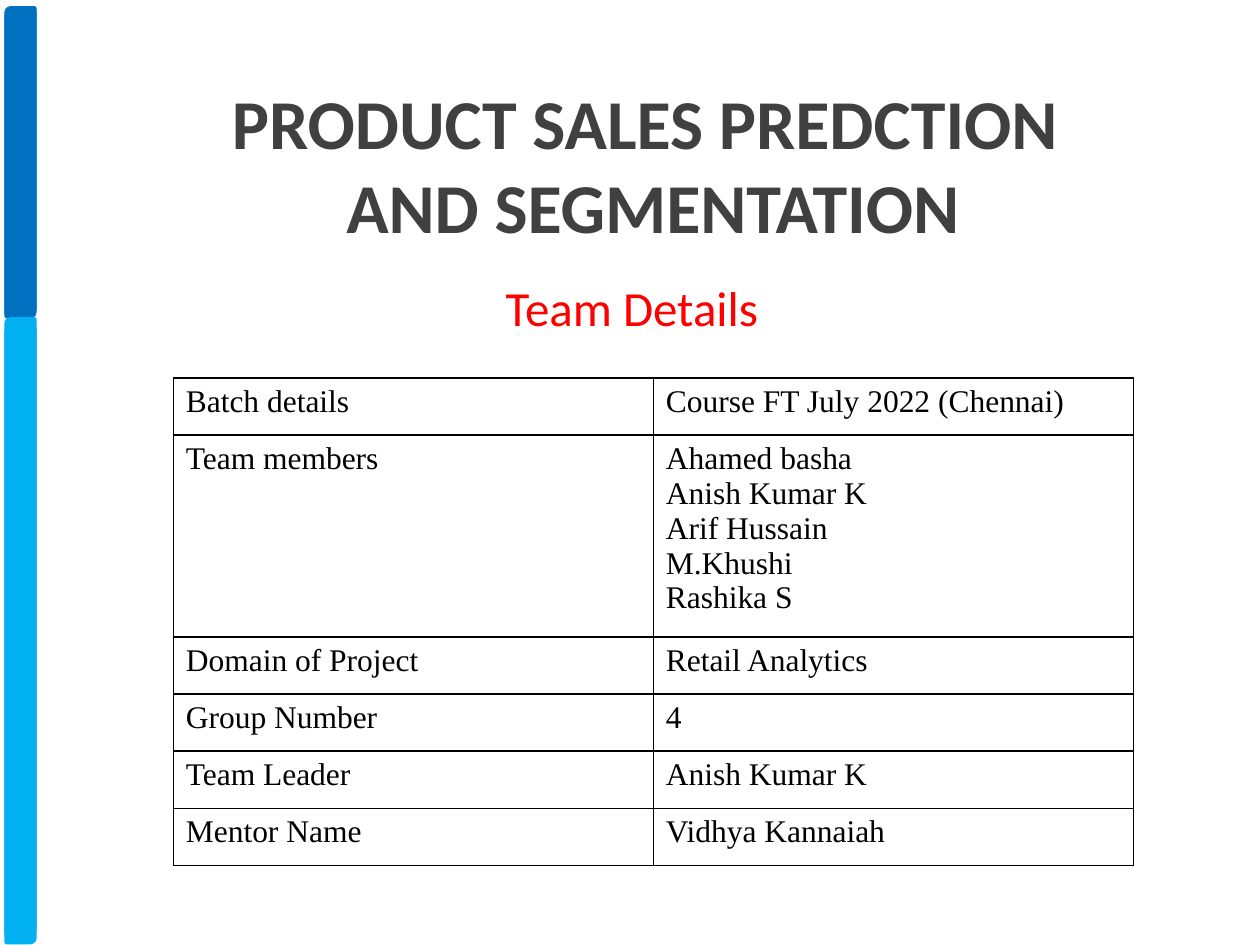
from dataclasses import dataclass

from lxml.etree import SubElement
from pptx import Presentation
from pptx.dml.color import RGBColor as RGB
from pptx.enum.shapes import MSO_SHAPE as Kind
from pptx.enum.text import MSO_ANCHOR as Anchor, MSO_AUTO_SIZE as Fit, PP_ALIGN as Align
from pptx.oxml.ns import qn
from pptx.util import Pt


@dataclass(frozen=True)
class Theme:
    navy: str = "0070C0"
    sky: str = "00B0F0"
    head: str = "404040"
    accent: str = "FF0000"
    ink: str = "000000"
    sans: str = "Calibri"
    serif: str = "Times New Roman"
    big: int = 40
    mid: int = 28
    body: int = 18
    edge: int = 2
    rule: int = 1


class Deck:
    """Holds the theme and the current slide; all lengths are in points."""

    def __init__(self, theme):
        self.theme = theme
        self.file = Presentation()
        self.file.slide_width, self.file.slide_height = Pt(720), Pt(540)
        self.slide = self.file.slides.add_slide(self.file.slide_layouts[5])

    def style(self, frame, face, size, color, align=Align.LEFT, bold=False):
        for para in frame.paragraphs:
            para.alignment = align
            for run in para.runs:
                font = run.font
                font.name, font.size, font.bold = face, Pt(size), bold
                font.color.rgb = RGB.from_string(color)

    def bar(self, x, y, w, h, color):
        shape = self.slide.shapes.add_shape(
            Kind.ROUND_2_DIAG_RECTANGLE, Pt(x), Pt(y), Pt(w), Pt(h))
        shape.shadow.inherit = False
        shape.fill.solid()
        shape.fill.fore_color.rgb = RGB.from_string(color)
        shape.line.color.rgb = RGB.from_string(color)
        shape.line.width = Pt(self.theme.edge)

    def title(self, text, x, y, w, h):
        box = self.slide.shapes.title
        box.left, box.top, box.width, box.height = Pt(x), Pt(y), Pt(w), Pt(h)
        frame = box.text_frame
        frame.text = text
        frame.auto_size, frame.vertical_anchor = Fit.NONE, Anchor.TOP
        self.style(frame, self.theme.sans, self.theme.big, self.theme.head,
                   Align.CENTER, True)

    def label(self, text, x, y, w, h):
        box = self.slide.shapes.add_textbox(Pt(x), Pt(y), Pt(w), Pt(h))
        frame = box.text_frame
        frame.word_wrap = True
        frame.text = text
        self.style(frame, self.theme.sans, self.theme.mid, self.theme.accent,
                   Align.CENTER)

    def border(self, cell):
        props = cell._tc.get_or_add_tcPr()
        for side in ("a:lnL", "a:lnR", "a:lnT", "a:lnB"):
            line = SubElement(props, qn(side), w=str(Pt(self.theme.rule)))
            fill = SubElement(line, qn("a:solidFill"))
            SubElement(fill, qn("a:srgbClr"), val=self.theme.ink)

    def table(self, rows, x, y, w, heights):
        table = self.slide.shapes.add_table(
            len(rows), len(rows[0]), Pt(x), Pt(y), Pt(w), Pt(sum(heights))).table
        table.first_row = table.horz_banding = False
        for row, height, texts in zip(table.rows, heights, rows):
            row.height = Pt(height)
            for cell, text in zip(row.cells, texts):
                cell.text_frame.text = text
                self.style(cell.text_frame, self.theme.serif,
                           self.theme.body, self.theme.ink)
                self.border(cell)
                cell.fill.background()


TEAM = ["Ahamed basha", "Anish Kumar K", "Arif Hussain", "M.Khushi", "Rashika S"]
ROWS = [
    ("Batch details", "Course FT July 2022 (Chennai)"),
    ("Team members", "\n".join(TEAM)),
    ("Domain of Project", "Retail Analytics"),
    ("Group Number", "4"),
    ("Team Leader", "Anish Kumar K"),
    ("Mentor Name", "Vidhya Kannaiah"),
]


def main():
    theme = Theme()
    deck = Deck(theme)
    for top, low in ((6.5, 187.2), (4.5, 182.2)):
        deck.bar(3.5, top, 16.5, 174.5, theme.navy)
        deck.bar(3.5, low, 16.5, 351.5, theme.sky)
    deck.title("PRODUCT SALES PREDCTION \nAND SEGMENTATION", 26, 42, 694, 104.5)
    deck.label("Team Details", 67, 155, 588, 41)
    heights = [115.5 if "\n" in value else 32.6 for _, value in ROWS]
    deck.table(ROWS, 99, 216, 548.6, heights)
    deck.file.save("out.pptx")


if __name__ == "__main__":
    main()
